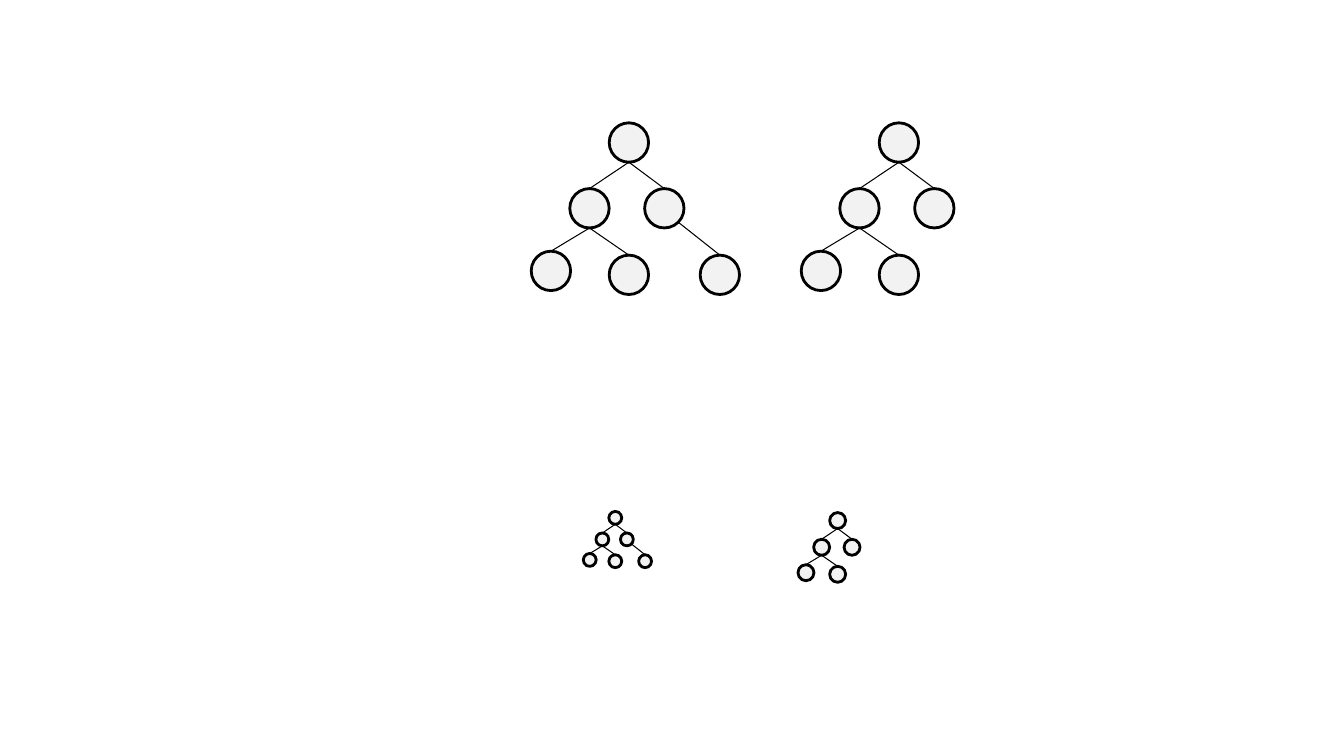
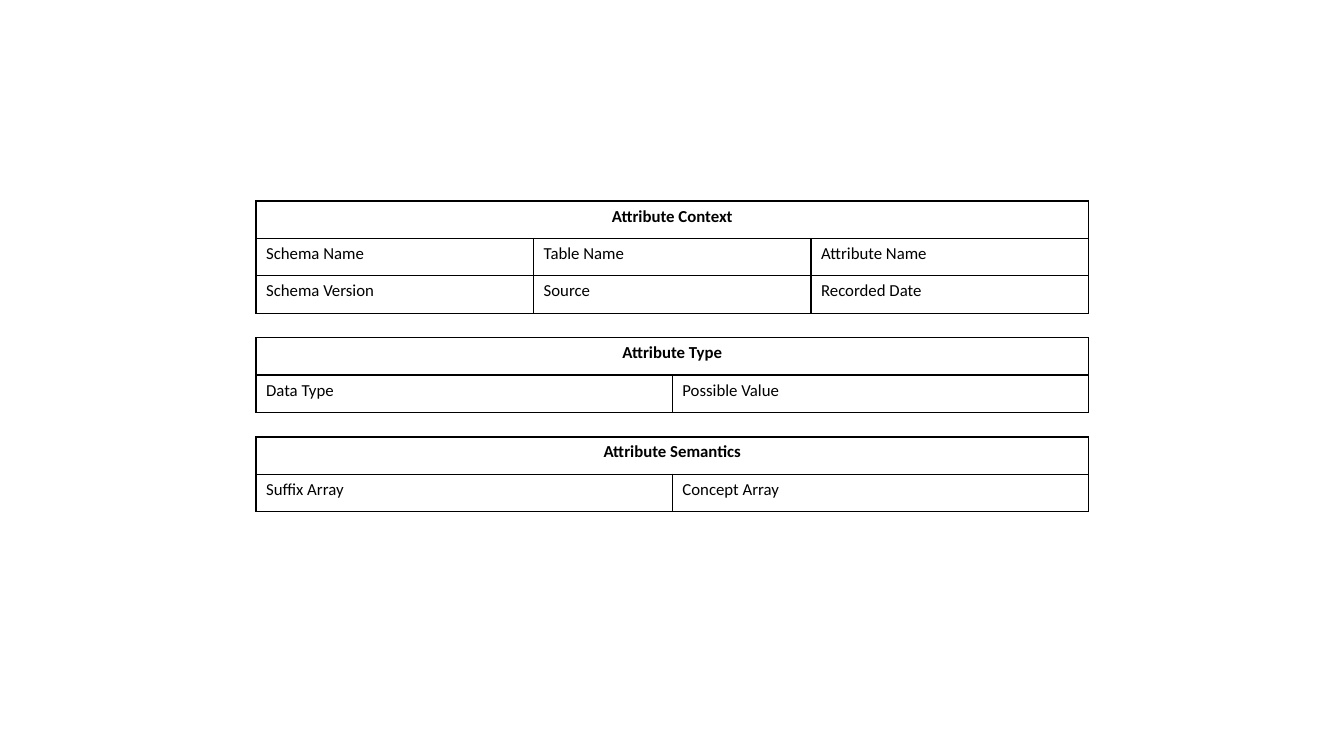
"""Build two slides: node trees at three scales, and tables of attribute metadata."""
from dataclasses import dataclass
from math import sqrt

from lxml import etree
from pptx import Presentation
from pptx import util as u
from pptx.dml import color
from pptx.enum import shapes, text
from pptx.oxml import ns

SLIDE_WIDTH, SLIDE_HEIGHT = u.Inches(40 / 3), u.Inches(7.5)
COLOURS = {"ink": "000000", "node": "F2F2F2"}
FONT = "Calibri"
TOP_SITE, BOTTOM_SITE, BOTTOM_RIGHT_SITE = 0, 4, 5
DIAGONAL = sqrt(2) / 4
SITES = {
    TOP_SITE: (0.5, 0),
    BOTTOM_SITE: (0.5, 1),
    BOTTOM_RIGHT_SITE: (0.5 + DIAGONAL, 0.5 + DIAGONAL),
}


@dataclass(frozen=True)
class Node:
    """A tree node, placed in diameters from the root and linked to its parent."""
    column: float
    row: float
    parent: str = ""
    parent_site: int = BOTTOM_SITE


@dataclass(frozen=True)
class Tree:
    """A tree whose root position and node diameter are percentages of the slide."""
    left: float
    top: float
    diameter: float
    nodes: dict[str, Node]
    grouped: bool = False


@dataclass(frozen=True)
class AttributeTable:
    """A table with one merged heading above its rows."""
    heading: str
    rows: list[list[str]]


FIVE_NODES = {
    "root": Node(0, 0),
    "left": Node(-1, 1.67, "root"),
    "left outer": Node(-1.98, 3.26, "left"),
    "left inner": Node(0, 3.36, "left"),
    "right": Node(0.9, 1.67, "root"),
}
SIX_NODES = FIVE_NODES | {"right outer": Node(2.31, 3.36, "right", BOTTOM_RIGHT_SITE)}
TREES = [
    Tree(45.33, 16.25, 2.93, SIX_NODES),
    Tree(65.42, 16.25, 2.93, FIVE_NODES),
    Tree(45.3, 67.65, 0.96, SIX_NODES, grouped=True),
    Tree(61.73, 67.8, 1.19, FIVE_NODES, grouped=True),
]

TABLE_LEFT, TABLE_TOP, TABLE_WIDTH = 19.05, 26.6, 61.95
ROW_HEIGHT, TABLE_GAP = 4.94, 3.25
TABLES = [
    AttributeTable("Attribute Context", [
        ["Schema Name", "Table Name", "Attribute Name"],
        ["Schema Version", "Source", "Recorded Date"],
    ]),
    AttributeTable("Attribute Type", [["Data Type", "Possible Value"]]),
    AttributeTable("Attribute Semantics", [["Suffix Array", "Concept Array"]]),
]


def across(percent: float) -> int:
    """Return a percentage of the slide's width."""
    return round(SLIDE_WIDTH * percent / 100)


def down(percent: float) -> int:
    """Return a percentage of the slide's height."""
    return round(SLIDE_HEIGHT * percent / 100)


def rgb(name: str) -> color.RGBColor:
    """Return a named colour of the palette."""
    return color.RGBColor.from_string(COLOURS[name])


def style_line(line, width: float) -> None:
    """Draw a line in ink at a width in points."""
    line.color.rgb = rgb("ink")
    line.width = u.Pt(width)


def add_node(canvas, left: int, top: int, diameter: int):
    """Add one round node."""
    circle = canvas.add_shape(shapes.MSO_SHAPE.OVAL, left, top, diameter, diameter)
    circle.shadow.inherit = False
    circle.fill.solid()
    circle.fill.fore_color.rgb = rgb("node")
    style_line(circle.line, 2)
    return circle


def site_point(circle, site: int) -> tuple[int, int]:
    """Return the position of a connection site on a node."""
    x_share, y_share = SITES[site]
    return (round(circle.left + circle.width * x_share),
            round(circle.top + circle.height * y_share))


def add_edge(canvas, parent, child, parent_site: int) -> None:
    """Link a parent node to the top of its child."""
    connector = canvas.add_connector(
        shapes.MSO_CONNECTOR.STRAIGHT,
        *site_point(parent, parent_site), *site_point(child, TOP_SITE))
    style_line(connector.line, 0.75)
    element = connector._element
    etree.SubElement(element.spPr, ns.qn("a:effectLst"))
    joints = element.find(".//" + ns.qn("p:cNvCxnSpPr"))
    for tag, circle, site in (("a:stCxn", parent, parent_site),
                              ("a:endCxn", child, TOP_SITE)):
        etree.SubElement(joints, ns.qn(tag), id=str(circle.shape_id), idx=str(site))


def draw_tree(slide, tree: Tree) -> None:
    """Draw all nodes and edges of a tree."""
    canvas = slide.shapes.add_group_shape().shapes if tree.grouped else slide.shapes
    diameter = across(tree.diameter)
    circles = {
        name: add_node(canvas,
                       across(tree.left) + round(node.column * diameter),
                       down(tree.top) + round(node.row * diameter),
                       diameter)
        for name, node in tree.nodes.items()
    }
    for name, node in tree.nodes.items():
        if node.parent:
            add_edge(canvas, circles[node.parent], circles[name], node.parent_site)


def style_cell(cell) -> None:
    """Give a cell ink borders and no fill."""
    properties = cell._tc.get_or_add_tcPr()
    for side in ("lnL", "lnR", "lnT", "lnB"):
        border = etree.SubElement(properties, ns.qn(f"a:{side}"), w=str(u.Pt(1)))
        fill = etree.SubElement(border, ns.qn("a:solidFill"))
        etree.SubElement(fill, ns.qn("a:srgbClr"), val=COLOURS["ink"])
    cell.fill.background()


def write_cell(cell, words: str, heading: bool = False) -> None:
    """Write a cell, bold and centred for a heading."""
    cell.text_frame.text = words
    paragraph = cell.text_frame.paragraphs[0]
    if heading:
        paragraph.alignment = text.PP_ALIGN.CENTER
    font = paragraph.runs[0].font
    font.name, font.size, font.bold = FONT, u.Pt(12), heading
    font.color.rgb = rgb("ink")


def draw_table(slide, content: AttributeTable, top: float) -> float:
    """Draw a table and return the top of the next one."""
    row_count, column_count = len(content.rows) + 1, len(content.rows[0])
    height = row_count * ROW_HEIGHT
    table = slide.shapes.add_table(
        row_count, column_count,
        across(TABLE_LEFT), down(top), across(TABLE_WIDTH), down(height)).table
    table.first_row = table.horz_banding = False
    for cell in table.iter_cells():
        style_cell(cell)
    table.cell(0, 0).merge(table.cell(0, column_count - 1))
    write_cell(table.cell(0, 0), content.heading, heading=True)
    for row, entries in enumerate(content.rows, start=1):
        for column, words in enumerate(entries):
            write_cell(table.cell(row, column), words)
    return top + height + TABLE_GAP


def main() -> None:
    """Build and save the presentation."""
    presentation = Presentation()
    presentation.slide_width, presentation.slide_height = SLIDE_WIDTH, SLIDE_HEIGHT
    blank = presentation.slide_layouts[6]
    tree_slide = presentation.slides.add_slide(blank)
    for tree in TREES:
        draw_tree(tree_slide, tree)
    table_slide = presentation.slides.add_slide(blank)
    top = TABLE_TOP
    for content in TABLES:
        top = draw_table(table_slide, content, top)
    presentation.save("out.pptx")


main()
